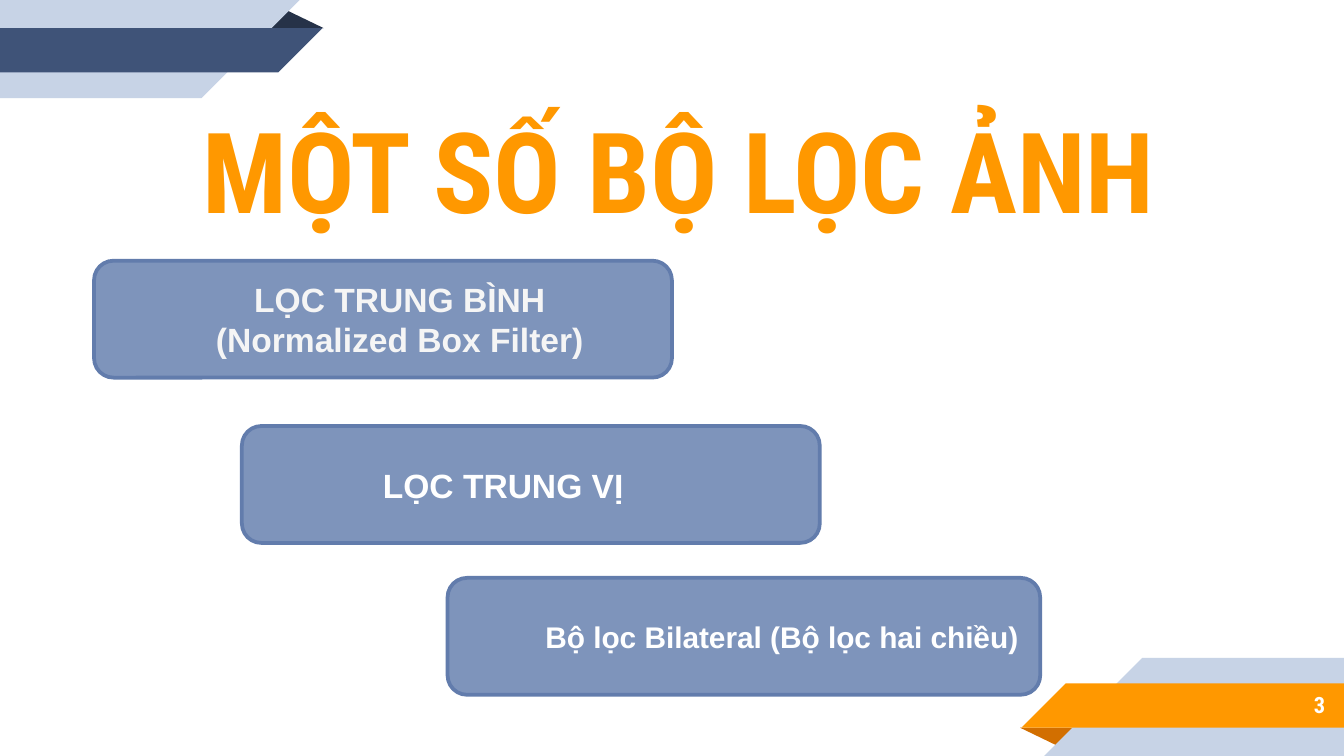
from pptx import Presentation
from pptx import util as u
from pptx.dml.color import RGBColor
from pptx.enum import shapes, text

WIDE = 10
HIGH = WIDE * 9 / 16
GRAIN = 1000  # freeform units per inch
HEX = {
    "pale": "C7D3E6", "navy": "3F5378", "night": "263248",
    "gold": "FF9800", "rust": "D26F00",
    "card": "7E94BB", "edge": "627CAC",
    "white": "FFFFFF", "smoke": "F5F5F5",
}
HEAD, BODY = "Roboto Condensed", "Arial"
SIDE = text.PP_ALIGN

# Ribbon outlines, measured from the slide corner they grow out of
FOLD = [(1.98, 0.21), (2.12, 0.07), (2.41, 0.21)]
BACK = [(0, 0), (2.23, 0), (1.5, 0.73), (0, 0.73)]
BAND = [(0, 0.21), (2.4, 0.21), (2.07, 0.54), (0, 0.54)]


def tint(name):
    return RGBColor.from_string(HEX[name])


def place(item, box):
    item.left, item.top, item.width, item.height = map(u.Inches, box)


def write(item, lines, size, color, font=BODY, align=SIDE.CENTER, pad=0.05):
    frame = item.text_frame
    frame.word_wrap = True
    frame.auto_size = text.MSO_AUTO_SIZE.NONE
    frame.vertical_anchor = text.MSO_ANCHOR.MIDDLE
    frame.margin_left = frame.margin_right = u.Inches(0.1)
    frame.margin_top = frame.margin_bottom = u.Inches(pad)
    frame.text = "\n".join(lines)
    for para in frame.paragraphs:
        para.alignment = align
        para.font.name, para.font.size = font, u.Pt(size)
        para.font.bold = True
        para.font.color.rgb = tint(color)


def label(slide, box, *args, **style):
    item = slide.shapes.add_textbox(*map(u.Inches, box))
    write(item, *args, **style)


def ribbon(slide, fold, band, turn=False):
    """Draw a folded corner ribbon; turn puts it in the bottom right."""
    for points, color in ((FOLD, fold), (BACK, "pale"), (BAND, band)):
        if turn:
            points = [(WIDE - x, HIGH - y) for x, y in points]
        dots = [(round(x * GRAIN), round(y * GRAIN)) for x, y in points]
        pen = slide.shapes.build_freeform(*dots[0], scale=u.Inches(1) / GRAIN)
        pen.add_line_segments(dots[1:])
        item = pen.convert_to_shape()
        item.shadow.inherit = False
        item.fill.solid()
        item.fill.fore_color.rgb = tint(color)
        item.line.fill.background()


def title(slide, box):
    item = slide.shapes.title
    place(item, box)
    write(item, ["MỘT SỐ BỘ LỌC ẢNH"], 60, "gold", font=HEAD, pad=0.1)


def card(slide, box, inner, *args, **style):
    """Draw a rounded card; inner is its text box relative to the card."""
    left, top, wide, high = box
    item = slide.shapes.add_shape(
        shapes.MSO_SHAPE.ROUNDED_RECTANGLE, *map(u.Inches, box))
    item.shadow.inherit = False
    item.fill.solid()
    item.fill.fore_color.rgb = tint("card")
    item.line.color.rgb = tint("edge")
    item.line.width = u.Pt(2)
    x, y, w, h = inner
    label(slide, (left + x, top + y, w, h), *args, **style)


def main():
    deck = Presentation()
    deck.slide_width, deck.slide_height = u.Inches(WIDE), u.Inches(HIGH)
    slide = deck.slides.add_slide(deck.slide_layouts[0])
    sub = slide.placeholders[1].element
    sub.getparent().remove(sub)

    ribbon(slide, "night", "navy")
    ribbon(slide, "rust", "gold", turn=True)
    title(slide, (0.39, 0.62, 9.32, 1.27))
    label(slide, (8.33, 5.07, 1.63, 0.35), ["3"], 12, "white",
          font=HEAD, align=SIDE.RIGHT, pad=0.1)

    card(slide, (0.7, 1.94, 4.3, 0.87), (0.48, 0.08, 3.59, 0.71),
         ["LỌC TRUNG BÌNH", "(Normalized Box Filter)"], 18, "smoke")
    card(slide, (1.8, 3.17, 4.3, 0.87), (0.43, 0.24, 3.03, 0.4),
         ["LỌC TRUNG VỊ"], 18, "white")
    card(slide, (3.33, 4.3, 4.41, 0.87), (0.63, 0.25, 3.78, 0.37),
         ["Bộ lọc Bilateral (Bộ lọc hai chiều)"], 16, "white",
         align=SIDE.LEFT)
    deck.save("out.pptx")


if __name__ == "__main__":
    main()
